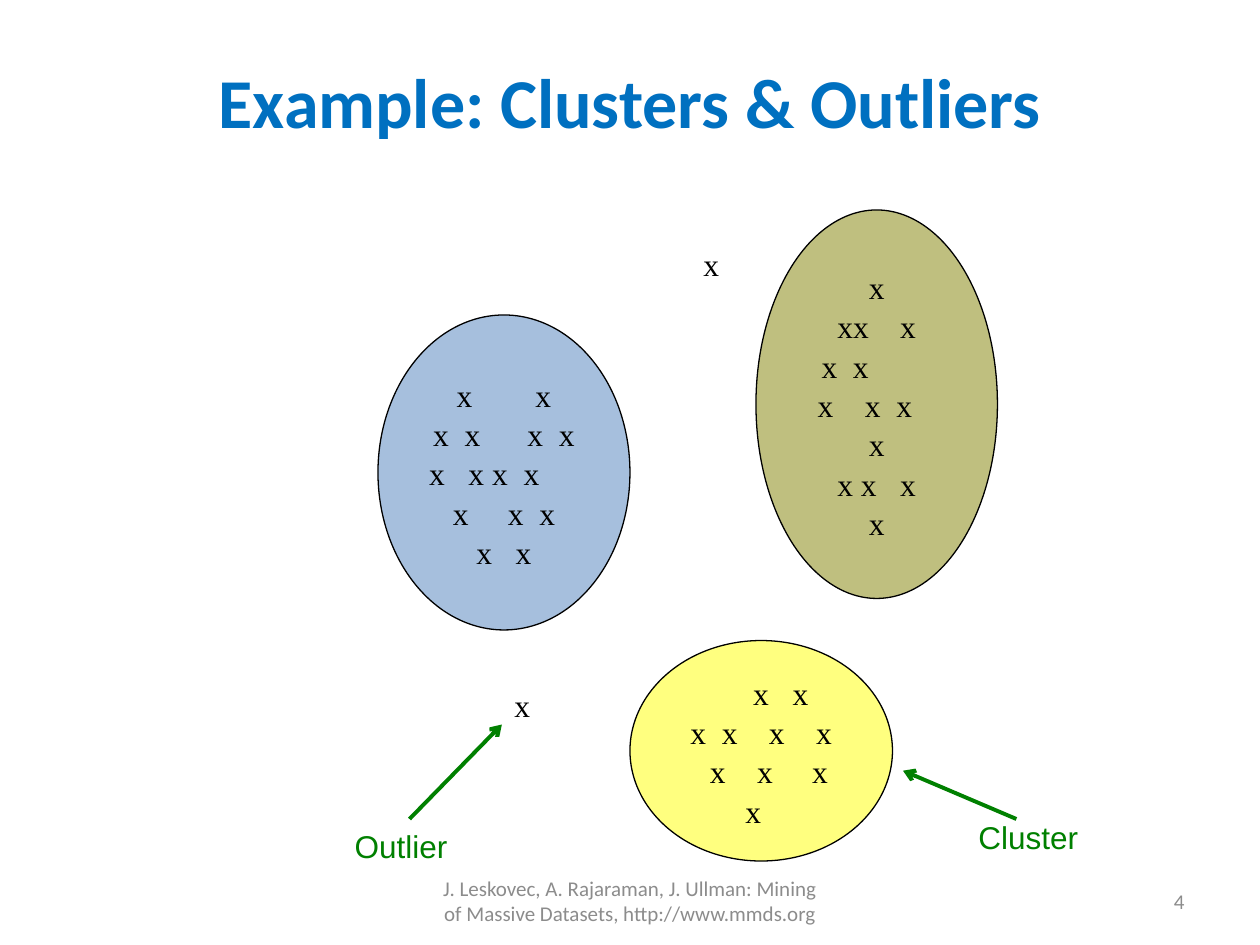
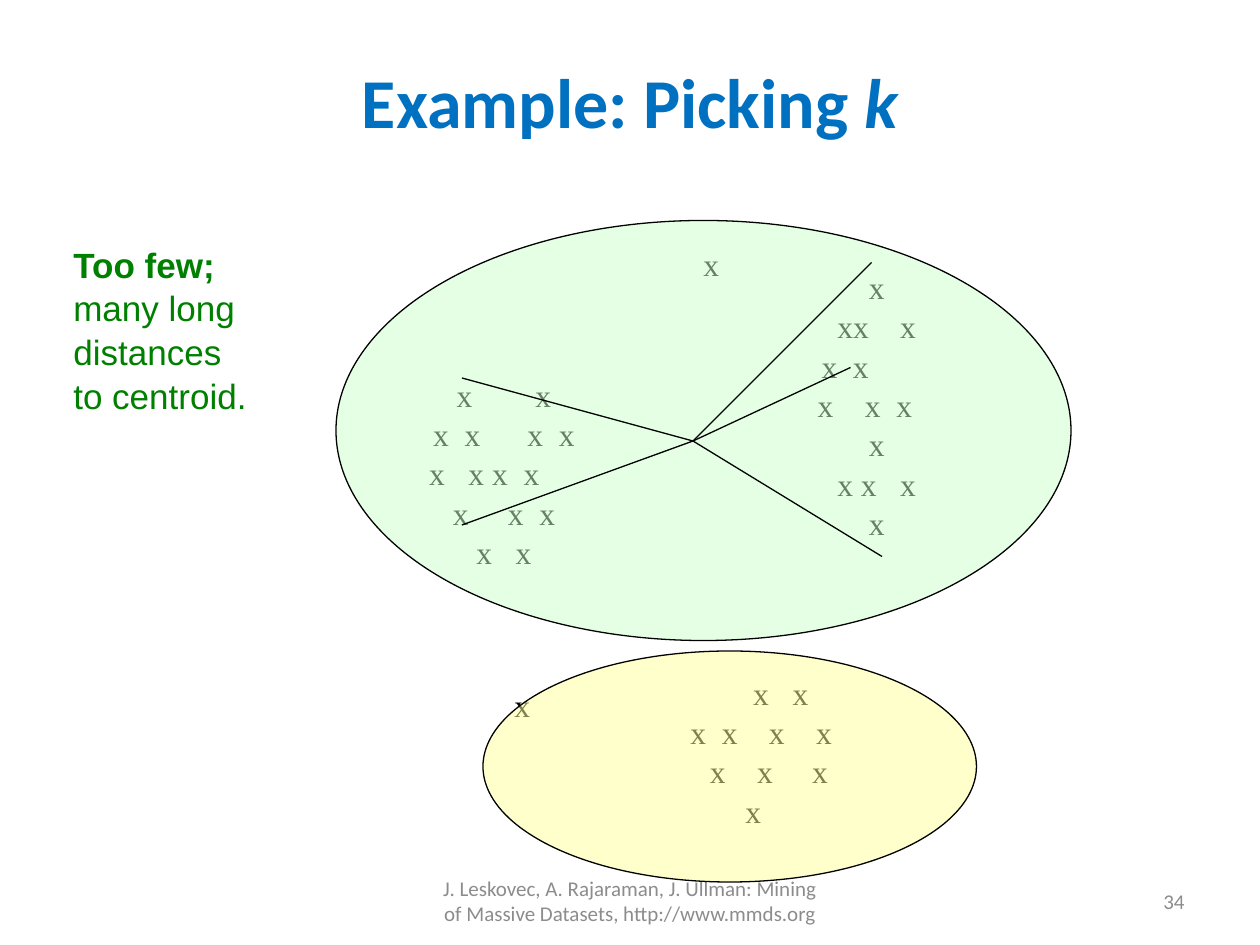
from pptx import Presentation
from pptx.dml.color import RGBColor as RGB
from pptx.enum.shapes import MSO_CONNECTOR as CONN, MSO_SHAPE as SHAPE
from pptx.enum.text import MSO_ANCHOR as ANCHOR, MSO_AUTO_SIZE as AUTO, PP_ALIGN as ALIGN
from pptx.oxml.ns import qn
from pptx.util import Inches, Pt
from lxml import etree

COLORS = {
    "title": "0070C0", "footer": "8C8C8C", "label": "008000", "ink": "000000",
    "blue": "4F81BD", "olive": "808000", "yellow": "FFFF00",
    "mint": "CCFFCC", "cream": "FFFF99",
}
COLUMNS = 120  # grid columns across the slide; rows are as high as columns are wide
FOOTER = ("J. Leskovec, A. Rajaraman, J. Ullman: Mining of Massive Datasets, "
          "http://www.mmds.org")

# Each cluster: its place on the grid, its colour and its rows of points
CLUSTERS = [
    ((36, 30, 24, 30), "blue",
     ["x        x", "x  x      x  x", "x   x x  x     ", "x     x  x", "x   x"]),
    ((72, 20, 23, 37), "olive",
     ["x", "xx    x", "x  x        ", "x    x  x   ", "x", "x x   x", "x"]),
    ((60, 61, 25, 21), "yellow",
     ["     x   x", "x  x    x    x", "  x    x     x", "x  "]),
]
OUTLIERS = [(65.8, 22.6), (47.8, 64.6)]
CENTROID = (66, 42)
FAR_POINTS = [(44, 36), (44, 50), (84, 53), (81, 35), (83, 25)]


class Deck:
    def __init__(self):
        self.prs = Presentation()
        self.prs.slide_width, self.prs.slide_height = Inches(10), Inches(7.5)
        self.slide = None

    def grid(self, *cells):
        return [round(c * self.prs.slide_width / COLUMNS) for c in cells]

    def style(self, paragraphs, size, font, color, align=ALIGN.LEFT, bold=False, spacing=None):
        for p in paragraphs:
            p.alignment = align
            p.line_spacing = spacing
            for r in p.runs:
                r.font.size, r.font.name, r.font.bold = Pt(size), font, bold
                r.font.color.rgb = RGB.from_string(COLORS[color])

    def add_slide(self, number, title, italic=""):
        self.slide = self.prs.slides.add_slide(self.prs.slide_layouts[5])
        sp = self.slide.shapes.title
        sp.left, sp.top, sp.width, sp.height = self.grid(6, 3.6, 108, 11.9)
        tf = sp.text_frame
        tf.text = title
        tf.vertical_anchor = ANCHOR.MIDDLE
        if italic:
            r = tf.paragraphs[0].add_run()
            r.text = italic
            r.font.italic = True
        self.style(tf.paragraphs, 40, "Calibri", "title", ALIGN.CENTER, bold=True)
        self.footer((41, 83.4, 38, 4.8), FOOTER, ALIGN.CENTER)
        self.footer((86, 83.4, 28, 4.8), str(number), ALIGN.RIGHT)

    def footer(self, box, text, align):
        tf = self.slide.shapes.add_textbox(*self.grid(*box)).text_frame
        tf.word_wrap = True
        tf.vertical_anchor = ANCHOR.MIDDLE
        tf.text = text
        self.style(tf.paragraphs, 12, "Calibri", "footer", align)

    def text(self, box, lines, size=18, font="Arial", color="label"):
        tf = self.slide.shapes.add_textbox(*self.grid(*box)).text_frame
        tf.word_wrap = False
        tf.auto_size = AUTO.SHAPE_TO_FIT_TEXT
        tf.text = "\n".join(lines)
        self.style(tf.paragraphs, size, font, color, spacing=1.04)
        return tf

    def ellipse(self, box, color=None, rows=()):
        """Draw a half-transparent outlined ellipse, or only its points if no colour is given."""
        sp = self.slide.shapes.add_shape(SHAPE.OVAL, *self.grid(*box))
        sp.shadow.inherit = False
        if color:
            sp.fill.solid()
            sp.fill.fore_color.rgb = RGB.from_string(COLORS[color])
            fill = sp.fill.fore_color._xFill.find(qn("a:srgbClr"))
            etree.SubElement(fill, qn("a:alpha")).set("val", "50000")
            sp.line.color.rgb = RGB.from_string(COLORS["ink"])
            sp.line.width = Pt(0.75)
        else:
            sp.fill.background()
            sp.line.fill.background()
        if rows:
            tf = sp.text_frame
            tf.word_wrap = False
            tf.vertical_anchor = ANCHOR.MIDDLE
            tf.text = "\n".join(rows)
            self.style(tf.paragraphs, 18, "Times New Roman", "ink", ALIGN.CENTER, spacing=1.04)

    def line(self, start, end, color="ink", width=0.75, arrow=False):
        c = self.slide.shapes.add_connector(CONN.STRAIGHT, *self.grid(*start, *end))
        c.line.color.rgb = RGB.from_string(COLORS[color])
        c.line.width = Pt(width)
        if arrow:
            etree.SubElement(c.line._get_or_add_ln(), qn("a:tailEnd")).set("type", "arrow")
        etree.SubElement(c._element.spPr, qn("a:effectLst"))

    def points(self, tinted):
        for box, color, rows in CLUSTERS:
            self.ellipse(box, color if tinted else None, rows)
        for left, top in OUTLIERS:
            self.text((left, top, 4.4, 6), ["x"], font="Times New Roman", color="ink")


def build_clusters(deck):
    deck.add_slide(4, "Example: Clusters & Outliers")
    deck.points(tinted=True)
    for label, box, start, end in [
        ("Outlier", (32.6, 78, 11.4, 4.8), (39, 78), (47.8, 69)),
        ("Cluster", (92, 77.2, 12, 4.8), (96.8, 78), (86, 73.4)),
    ]:
        deck.line(start, end, "label", 2.25, arrow=True)
        deck.text(box, [label])


def build_picking_k(deck):
    deck.add_slide(34, "Example: Picking ", italic="k")
    deck.points(tinted=False)
    deck.ellipse((32, 21, 70, 40), "mint")
    deck.ellipse((46, 62, 47, 22), "cream")
    for point in FAR_POINTS:
        deck.line(CENTROID, point)
    note = ["Too few;", "many long", "distances", "to centroid."]
    tf = deck.text((5.8, 22.4, 19.1, 17.4), note, size=20)
    tf.paragraphs[0].runs[0].font.bold = True


def main():
    deck = Deck()
    build_clusters(deck)
    build_picking_k(deck)
    deck.prs.save("out.pptx")


if __name__ == "__main__":
    main()
